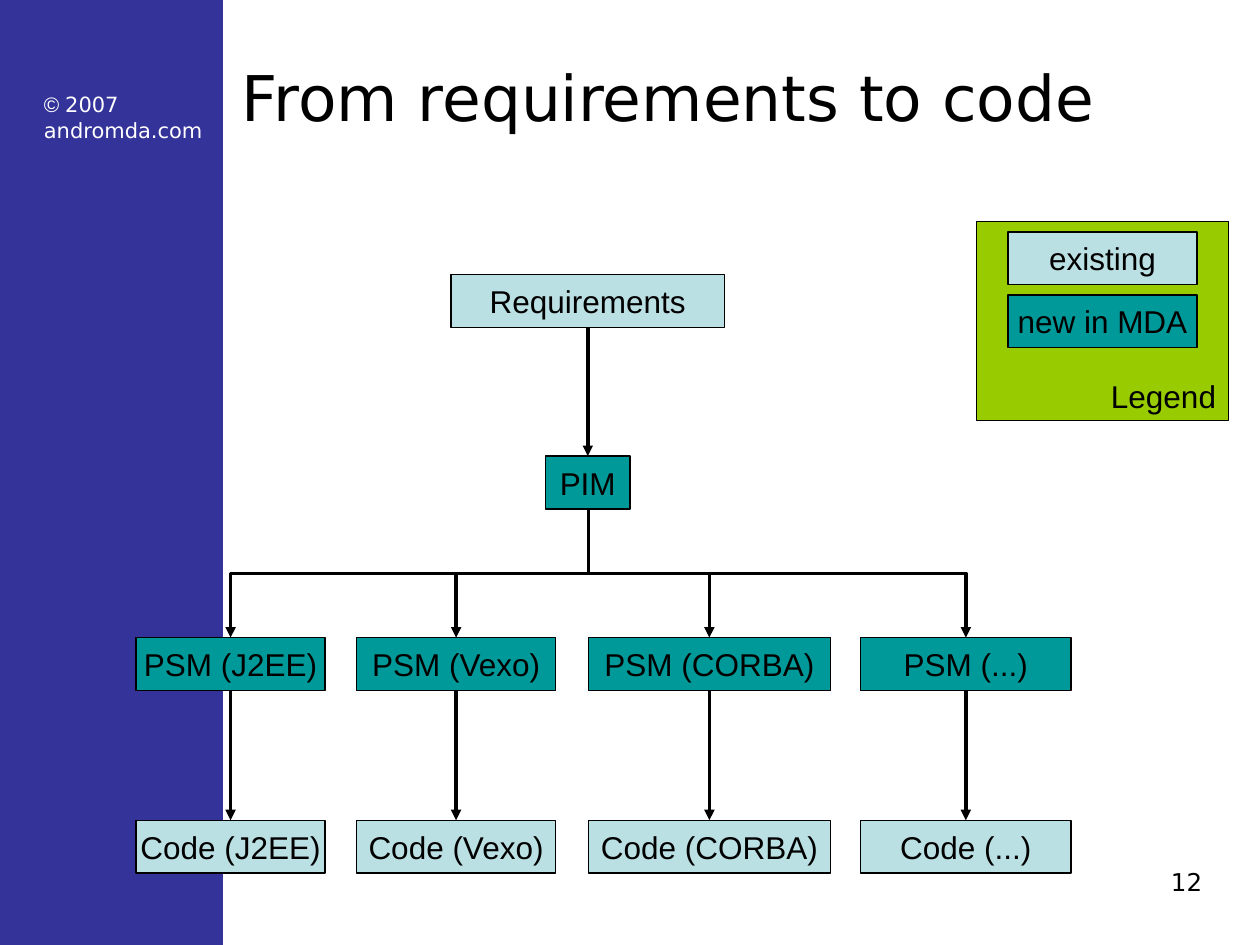
"""Builds the slide that traces requirements through models to code."""
from dataclasses import dataclass

from lxml.etree import SubElement
from pptx import Presentation
from pptx.dml.color import RGBColor
from pptx.enum.shapes import MSO_CONNECTOR, MSO_SHAPE
from pptx.enum.text import MSO_ANCHOR, PP_ALIGN
from pptx.oxml.ns import qn
from pptx.util import Inches, Pt


@dataclass(frozen=True)
class Theme:
    black: RGBColor = RGBColor.from_string("000000")
    white: RGBColor = RGBColor.from_string("FFFFFF")
    sidebar: RGBColor = RGBColor.from_string("333399")
    legend: RGBColor = RGBColor.from_string("99CC00")
    existing: RGBColor = RGBColor.from_string("BBE0E3")
    new: RGBColor = RGBColor.from_string("009999")
    heading_font: str = "DejaVu Sans"
    body_font: str = "Arial"
    title: Pt = Pt(36)
    label: Pt = Pt(18)
    number: Pt = Pt(14)
    credit: Pt = Pt(12)
    border: Pt = Pt(0.75)
    arrow: Pt = Pt(2)


theme = Theme()
BOX_H = 0.42
CENTER_X = 4.67
PIM_Y, PSM_Y, CODE_Y = 3.62, 5.06, 6.51

prs = Presentation()
prs.slide_width, prs.slide_height = Inches(10), Inches(7.5)
s = prs.slides.add_slide(prs.slide_layouts[5])


def add_box(text, x, y, w, h, fill, align=PP_ALIGN.CENTER, anchor=MSO_ANCHOR.MIDDLE):
    sp = s.shapes.add_shape(MSO_SHAPE.RECTANGLE, Inches(x), Inches(y), Inches(w), Inches(h))
    sp.shadow.inherit = False
    sp.fill.solid()
    sp.fill.fore_color.rgb = fill
    sp.line.color.rgb = theme.black
    sp.line.width = theme.border
    tf = sp.text_frame
    tf.word_wrap = False
    tf.vertical_anchor = anchor
    p = tf.paragraphs[0]
    p.text = text
    p.alignment = align
    p.font.name, p.font.size = theme.body_font, theme.label
    p.font.color.rgb = theme.black
    return sp


def add_arrow(kind, x1, y1, x2, y2):
    cxn = s.shapes.add_connector(kind, Inches(x1), Inches(y1), Inches(x2), Inches(y2))
    cxn.line.color.rgb = theme.black
    cxn.line.width = theme.arrow
    SubElement(cxn.line._get_or_add_ln(), qn("a:tailEnd"), type="triangle")
    SubElement(cxn._element.spPr, qn("a:effectLst"))
    return cxn


sidebar = s.shapes.add_shape(MSO_SHAPE.RECTANGLE, 0, 0, Inches(1.77), prs.slide_height)
sidebar.shadow.inherit = False
sidebar.fill.solid()
sidebar.fill.fore_color.rgb = theme.sidebar
sidebar.line.fill.background()

credit = s.shapes.add_textbox(Inches(0.25), Inches(0.68), Inches(1.58), Inches(0.5))
credit.text_frame.word_wrap = True
p = credit.text_frame.paragraphs[0]
p.font.size = theme.credit
p.font.color.rgb = theme.white
for text, font in (("© ", theme.body_font), ("2007", theme.heading_font)):
    r = p.add_run()
    r.text, r.font.name = text, font
    r.font.size = theme.credit
    r.font.color.rgb = theme.white
p.add_line_break()
r = p.add_run()
r.text, r.font.name = "andromda.com", theme.heading_font
r.font.size = theme.credit
r.font.color.rgb = theme.white

title = s.shapes.title
title.left, title.top = Inches(1.82), Inches(0.14)
title.width, title.height = Inches(8.14), Inches(1.25)
title.text_frame.vertical_anchor = MSO_ANCHOR.MIDDLE
p = title.text_frame.paragraphs[0]
p.text = "From requirements to code"
p.alignment = PP_ALIGN.LEFT
p.font.name, p.font.size = theme.heading_font, theme.title
p.font.color.rgb = theme.black

add_box("Legend", 7.75, 1.76, 2, 1.58, theme.legend, PP_ALIGN.RIGHT, MSO_ANCHOR.BOTTOM)
add_box("existing", 8, 1.84, 1.5, BOX_H, theme.existing)
add_box("new in MDA", 8, 2.34, 1.5, BOX_H, theme.new)

requirements = add_box("Requirements", 3.58, 2.18, 2.17, BOX_H, theme.existing)
pim = add_box("PIM", 4.33, PIM_Y, 0.67, BOX_H, theme.new)
links = [(requirements, pim)]

fork_y = PIM_Y + BOX_H
drop = PSM_Y - fork_y
mid_y = fork_y + drop / 2
for platform, x, w in (("J2EE", 1.08, 1.5), ("Vexo", 2.83, 1.58),
                       ("CORBA", 4.67, 1.92), ("...", 6.83, 1.67)):
    psm = add_box(f"PSM ({platform})", x, PSM_Y, w, BOX_H, theme.new)
    code = add_box(f"Code ({platform})", x, CODE_Y, w, BOX_H, theme.existing)
    links.append((psm, code))

    shift = x + w / 2 - CENTER_X
    mid_x = CENTER_X + shift / 2
    half_w = drop / 2 if shift < 0 else -drop / 2
    half_h = abs(shift) / 2
    elbow = add_arrow(MSO_CONNECTOR.ELBOW, mid_x - half_w, mid_y - half_h,
                      mid_x + half_w, mid_y + half_h)
    turn = 90 if shift < 0 else 270
    elbow._element.spPr.find(qn("a:xfrm")).set("rot", str(turn * 60000))

for upper, lower in links:
    cxn = add_arrow(MSO_CONNECTOR.STRAIGHT, 0, 0, 0, 0)
    cxn.begin_connect(upper, 2)
    cxn.end_connect(lower, 0)

number = s.shapes.add_textbox(Inches(7.11), Inches(6.83), Inches(2.53), Inches(0.52))
number.text_frame.word_wrap = True
p = number.text_frame.paragraphs[0]
p.text = "12"
p.alignment = PP_ALIGN.RIGHT
p.font.name, p.font.size = theme.heading_font, theme.number
p.font.color.rgb = theme.black

prs.save("out.pptx")
